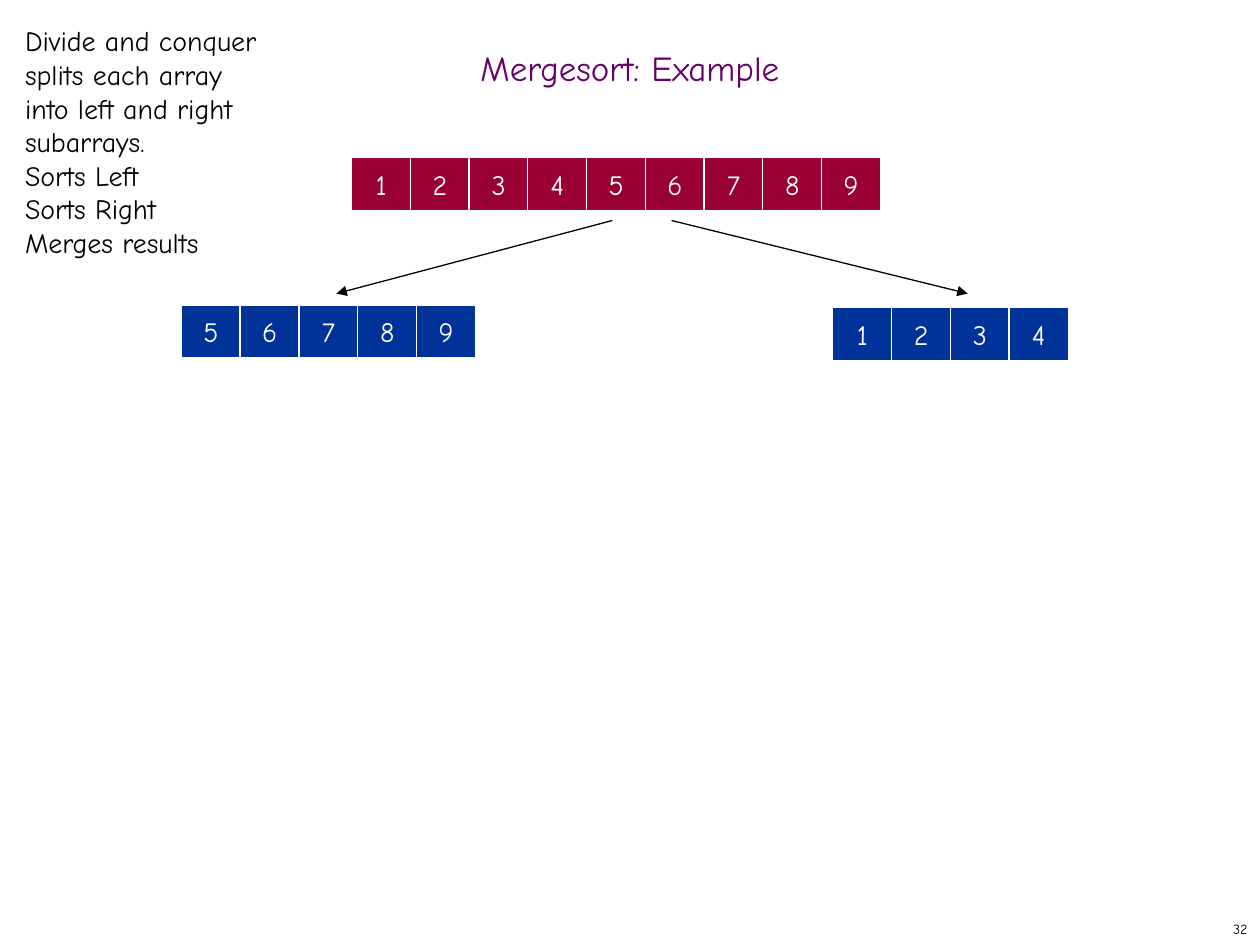
from lxml.etree import SubElement
from pptx import Presentation
from pptx.dml.color import RGBColor
from pptx.enum.shapes import MSO_CONNECTOR, MSO_SHAPE
from pptx.enum.text import MSO_ANCHOR, PP_ALIGN
from pptx.oxml.ns import qn
from pptx.util import Inches, Pt

FONT = "Comic Neue"
TITLE = "Mergesort: Example"
NOTES = [
    "Divide and conquer splits each array into left and right subarrays.",
    "Sorts Left",
    "Sorts Right",
    "Merges results",
]
SLIDE_NUMBER = "32"
# values, left, top, fill
ARRAYS = [
    (range(1, 10), 2.79, 1.25, "990033"),
    (range(5, 10), 1.44, 2.42, "003399"),
    (range(1, 5), 6.61, 2.44, "003399"),
]
ARROWS = [((4.86, 1.75), (2.67, 2.33)), ((5.33, 1.75), (7.68, 2.33))]
CELL_W, CELL_H = 0.47, 0.42
CELL_PITCH = 3.73 / 8


def rgb(value):
    return RGBColor.from_string(value)


def write(shape, lines, size, color, align, anchor=MSO_ANCHOR.MIDDLE, wrap=False):
    tf = shape.text_frame
    tf.word_wrap = wrap
    tf.vertical_anchor = anchor
    tf.text = "\n".join(lines)
    for p in tf.paragraphs:
        p.alignment = align
        p.font.name = FONT
        p.font.size = Pt(size)
        p.font.color.rgb = rgb(color)


def add_array(slide, values, left, top, fill):
    for i, value in enumerate(values):
        sp = slide.shapes.add_shape(
            MSO_SHAPE.RECTANGLE, Inches(left + i * CELL_PITCH), Inches(top),
            Inches(CELL_W), Inches(CELL_H))
        sp.shadow.inherit = False
        sp.fill.solid()
        sp.fill.fore_color.rgb = rgb(fill)
        sp.line.color.rgb = rgb("FFFFFF")
        sp.line.width = Pt(0.75)
        write(sp, [str(value)], 16, "FFFFFF", PP_ALIGN.CENTER)


def add_arrow(slide, start, end):
    line = slide.shapes.add_connector(
        MSO_CONNECTOR.STRAIGHT, *map(Inches, start + end))
    line.line.color.rgb = rgb("000000")
    line.line.width = Pt(0.75)
    SubElement(line.line._get_or_add_ln(), qn("a:tailEnd"), type="triangle")
    SubElement(line._element.spPr, qn("a:effectLst"))


def main():
    prs = Presentation()
    prs.slide_width, prs.slide_height = Inches(10), Inches(7.5)
    slide = prs.slides.add_slide(prs.slide_layouts[5])

    title = slide.shapes.title
    title.left, title.top, title.width, title.height = map(Inches, (0, 0.33, 10, 0.5))
    write(title, [TITLE], 20, "660066", PP_ALIGN.CENTER, wrap=True)
    title.text_frame.paragraphs[0].line_spacing = 0.7

    for array in ARRAYS:
        add_array(slide, *array)
    for start, end in ARROWS:
        add_arrow(slide, start, end)

    notes = slide.shapes.add_textbox(*map(Inches, (0.1, 0.14, 2.15, 1.99)))
    write(notes, NOTES, 16, "000000", PP_ALIGN.LEFT, MSO_ANCHOR.TOP, wrap=True)
    number = slide.shapes.add_textbox(*map(Inches, (7.92, 7.25, 2.08, 0.25)))
    write(number, [SLIDE_NUMBER], 8, "000000", PP_ALIGN.RIGHT, wrap=True)

    prs.save("out.pptx")


if __name__ == "__main__":
    main()
